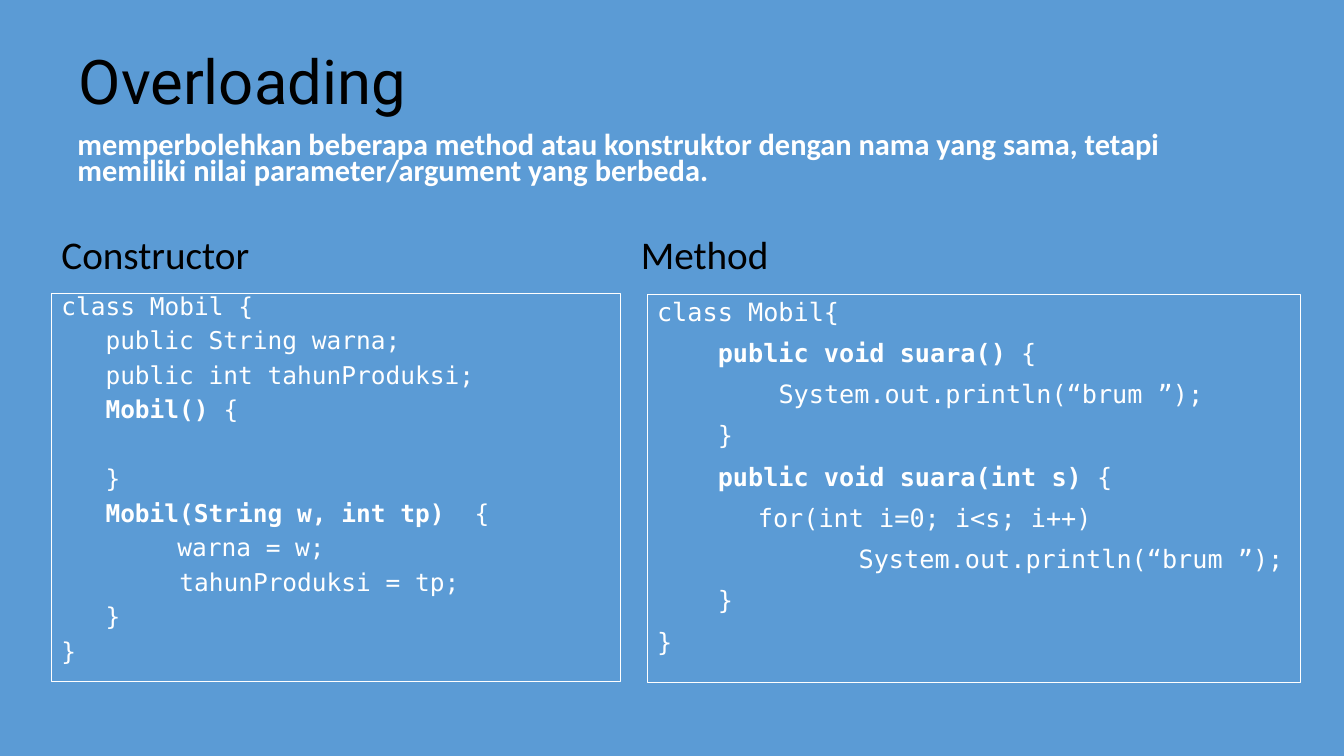
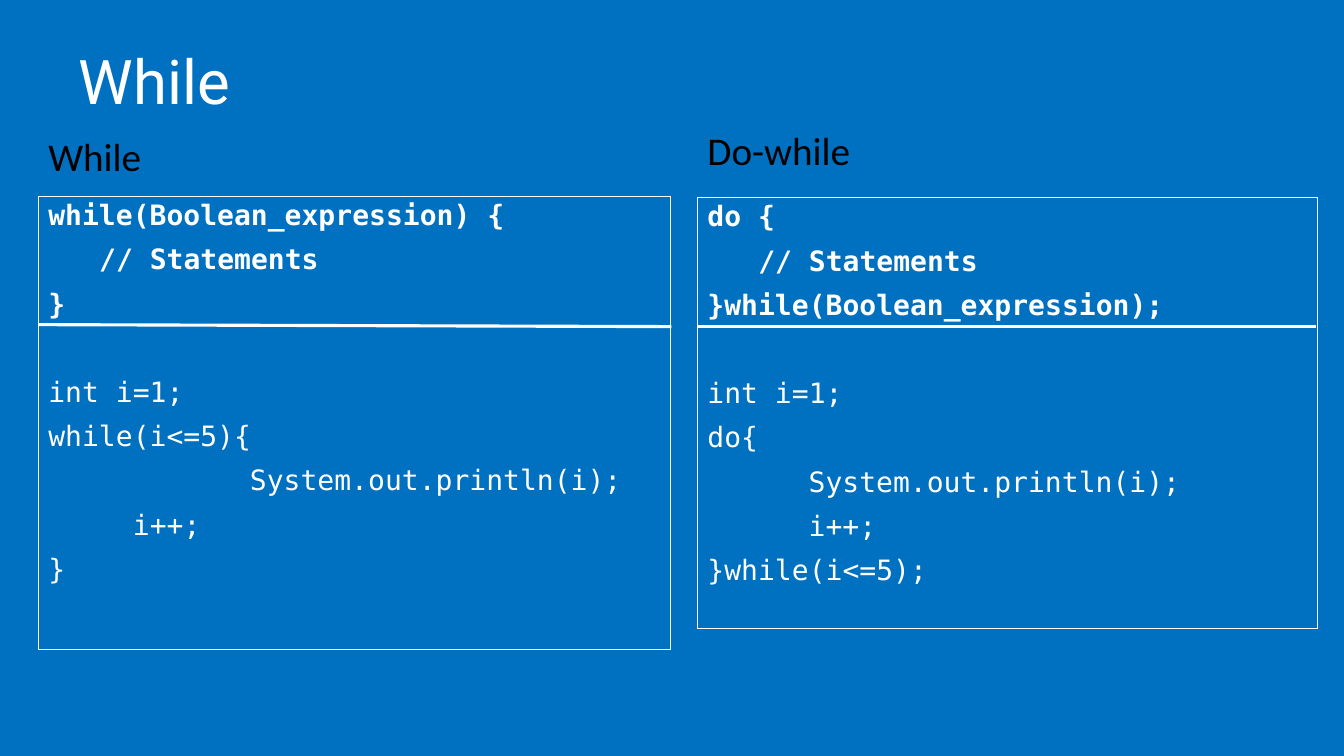
from dataclasses import dataclass

from pptx import Presentation
from pptx import util as u
from pptx.dml.color import RGBColor
from pptx.enum import shapes, text
from pptx.oxml.ns import qn
from lxml import etree


@dataclass(frozen=True)
class Theme:
    sky: RGBColor = RGBColor.from_string("5B9BD5")
    blue: RGBColor = RGBColor.from_string("0070C0")
    white: RGBColor = RGBColor.from_string("FFFFFF")
    black: RGBColor = RGBColor.from_string("000000")
    title_font: str = "Roboto"
    body_font: str = "Calibri"
    code_font: str = "DejaVu Sans Mono"
    title_size: float = 44
    heading_size: float = 28
    summary_size: float = 21.7
    frame_width: float = 0.75
    divider_width: float = 2.25
    line_spacing: float = 0.9
    tight_spacing: float = 0.7
    space_before: float = 10


THEME = Theme()


@dataclass(frozen=True)
class CodeLine:
    """One line of code: indent in cm, bold part first, gap in extra points above."""
    plain: str = ""
    indent: float = 0
    bold: str = ""
    gap: float = 0


CONSTRUCTOR_CODE = [
    CodeLine("class Mobil {"),
    CodeLine("public String warna;", 1.11),
    CodeLine("public int tahunProduksi;", 1.11),
    CodeLine("{", 1.11, bold="Mobil() "),
    CodeLine("}", 1.11, gap=24.6),
    CodeLine("  {", 1.11, bold="Mobil(String w, int tp)"),
    CodeLine("warna = w;", 2.92),
    CodeLine("tahunProduksi = tp;", 2.97),
    CodeLine("}", 1.11),
    CodeLine("}"),
]
METHOD_CODE = [
    CodeLine("class Mobil{"),
    CodeLine("{", 1.53, bold="public void suara() "),
    CodeLine("System.out.println(“brum ”);", 3.06),
    CodeLine("}", 1.53),
    CodeLine("{", 1.53, bold="public void suara(int s) "),
    CodeLine("for(int i=0; i<s; i++)", 2.54),
    CodeLine("System.out.println(“brum ”);", 5.08),
    CodeLine("}", 1.53),
    CodeLine("}"),
]
WHILE_CODE = [
    CodeLine(bold="while(Boolean_expression) {"),
    CodeLine(bold="// Statements", indent=1.28),
    CodeLine(bold="}"),
    CodeLine("int i=1;", gap=31.5),
    CodeLine("while(i<=5){"),
    CodeLine("System.out.println(i);", 5.08),
    CodeLine("i++;", 2.13),
    CodeLine("}"),
]
DO_WHILE_CODE = [
    CodeLine(bold="do {"),
    CodeLine(bold="// Statements", indent=1.28),
    CodeLine(bold="}while(Boolean_expression);"),
    CodeLine("int i=1;", gap=31.5),
    CodeLine("do{"),
    CodeLine("System.out.println(i);", 2.55),
    CodeLine("i++;", 2.55),
    CodeLine("}while(i<=5);"),
]


def format_span(span, font, size, color, bold=False):
    span.font.name = font
    span.font.size = u.Pt(size)
    span.font.color.rgb = color
    span.font.bold = bold


def format_para(para, spacing=THEME.line_spacing, before=THEME.space_before):
    para.alignment = text.PP_ALIGN.LEFT
    para.line_spacing = spacing
    para.space_before = u.Pt(before)


def add_page(deck, title, background, title_color):
    page = deck.slides.add_slide(deck.slide_layouts[5])
    page.background.fill.solid()
    page.background.fill.fore_color.rgb = background
    box = page.shapes.title
    box.left, box.top, box.width, box.height = map(u.Cm, (1.73, 0.3, 29.21, 3.68))
    frame = box.text_frame
    frame.text = title
    frame.auto_size = text.MSO_AUTO_SIZE.NONE
    frame.vertical_anchor = text.MSO_ANCHOR.MIDDLE
    para = frame.paragraphs[0]
    format_para(para, before=0)
    format_span(para.runs[0], THEME.title_font, THEME.title_size, title_color)
    return page


def add_label(page, words, left, top, width=12.8, size=THEME.heading_size,
              color=THEME.black, bold=False, spacing=THEME.line_spacing):
    box = page.shapes.add_textbox(*map(u.Cm, (left, top, width, 1.6)))
    frame = box.text_frame
    frame.word_wrap = True
    frame.text = words
    para = frame.paragraphs[0]
    format_para(para, spacing)
    format_span(para.runs[0], THEME.body_font, size, color, bold)


def add_code_box(page, lines, place, size, spacing=THEME.line_spacing):
    """Draw framed code; place is left, top, width and height in cm."""
    box = page.shapes.add_shape(shapes.MSO_SHAPE.RECTANGLE, *map(u.Cm, place))
    box.shadow.inherit = False
    box.fill.background()
    box.line.color.rgb = THEME.white
    box.line.width = u.Pt(THEME.frame_width)
    frame = box.text_frame
    frame.word_wrap = True
    frame.vertical_anchor = text.MSO_ANCHOR.TOP
    for number, line in enumerate(lines):
        para = frame.add_paragraph() if number else frame.paragraphs[0]
        format_para(para, spacing, THEME.space_before + line.gap)
        para._p.get_or_add_pPr().set("marL", str(u.Cm(line.indent)))
        for words, bold in ((line.bold, True), (line.plain, False)):
            if words:
                span = para.add_run()
                span.text = words
                format_span(span, THEME.code_font, size, THEME.white, bold)


def add_divider(page, *ends):
    """Draw a line; ends are x and y of the start, then of the end, in cm."""
    line = page.shapes.add_connector(shapes.MSO_CONNECTOR.STRAIGHT, *map(u.Cm, ends))
    line.line.color.rgb = THEME.white
    line.line.width = u.Pt(THEME.divider_width)
    etree.SubElement(line._element.spPr, qn("a:effectLst"))


def build_overloading(deck):
    page = add_page(deck, "Overloading", THEME.sky, THEME.black)
    add_code_box(page, CONSTRUCTOR_CODE, (1.3, 7.4, 14.33, 9.78), 17.5,
                 THEME.tight_spacing)
    add_code_box(page, METHOD_CODE, (16.31, 7.42, 16.46, 9.78), 18)
    add_label(page, "Constructor", 1.3, 5.82)
    add_label(page, "Method", 15.9, 5.82)
    add_label(page, "memperbolehkan beberapa method atau konstruktor dengan nama "
              "yang sama, tetapi memiliki nilai parameter/argument yang berbeda.",
              1.7, 3.28, width=29.57, size=THEME.summary_size, color=THEME.white,
              bold=True, spacing=THEME.tight_spacing)


def build_while(deck):
    page = add_page(deck, "While", THEME.blue, THEME.white)
    add_code_box(page, WHILE_CODE, (0.97, 4.95, 15.93, 11.43), 20)
    add_code_box(page, DO_WHILE_CODE, (17.58, 4.98, 15.62, 10.85), 20)
    add_divider(page, 0.97, 8.18, 16.92, 8.23)
    add_divider(page, 17.58, 8.23, 33.17, 8.23)
    add_label(page, "While", 0.97, 3.35)
    add_label(page, "Do-while", 17.58, 3.2)


def main():
    deck = Presentation()
    deck.slide_width, deck.slide_height = u.Cm(33.87), u.Cm(19.05)
    build_overloading(deck)
    build_while(deck)
    deck.save("out.pptx")


if __name__ == "__main__":
    main()
